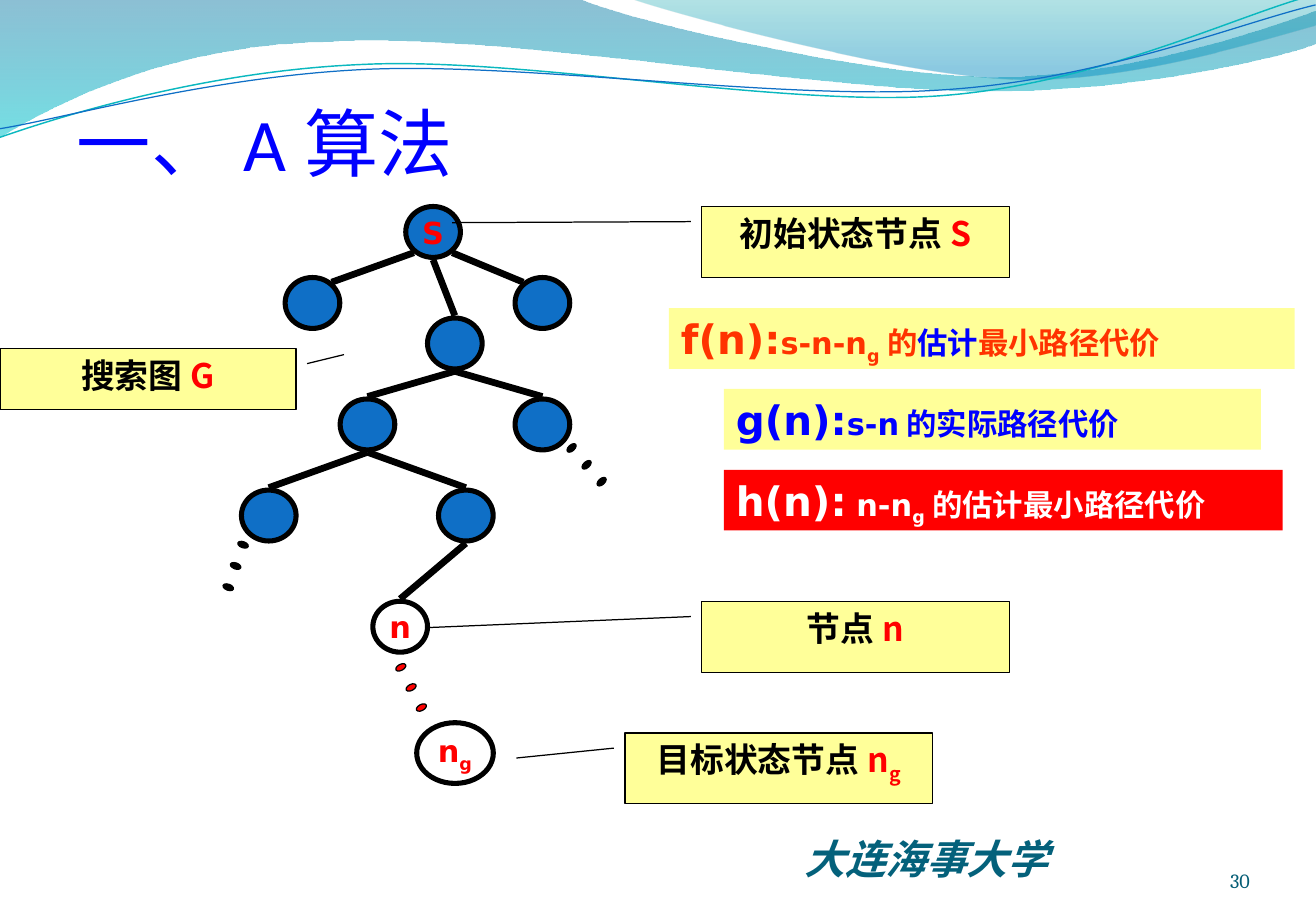
from lxml import etree
from pptx import Presentation
from pptx.dml.color import RGBColor
from pptx.enum.shapes import MSO_CONNECTOR, MSO_SHAPE
from pptx.enum.text import MSO_ANCHOR, PP_ALIGN
from pptx.oxml.ns import qn
from pptx.util import Pt

OVAL, RECT, CALLOUT = MSO_SHAPE.OVAL, MSO_SHAPE.RECTANGLE, MSO_SHAPE.LINE_CALLOUT_1
STRAIGHT = MSO_CONNECTOR.STRAIGHT
TOP, MIDDLE, BOTTOM = MSO_ANCHOR.TOP, MSO_ANCHOR.MIDDLE, MSO_ANCHOR.BOTTOM
LEFT, CENTER, RIGHT = PP_ALIGN.LEFT, PP_ALIGN.CENTER, PP_ALIGN.RIGHT

BLACK = RGBColor(0x00, 0x00, 0x00)
WHITE = RGBColor(0xFF, 0xFF, 0xFF)
RED = RGBColor(0xFF, 0x00, 0x00)
ORANGE = RGBColor(0xFF, 0x33, 0x00)
BLUE = RGBColor(0x00, 0x00, 0xFF)
YELLOW = RGBColor(0xFF, 0xFF, 0x99)
NODE_BLUE = RGBColor(0x0F, 0x6F, 0xC6)
TEAL = RGBColor(0x04, 0x61, 0x7B)
PAGE_TEAL = RGBColor(0x04, 0x5D, 0x75)
WAVE_TEAL = RGBColor(0x0A, 0xB8, 0xBF)
BROAD_STOPS = [(0, RGBColor(0x00, 0x74, 0xA1), 45), (1, RGBColor(0x00, 0xC6, 0xCF), 55)]
CORNER_STOPS = [(0, RGBColor(0x00, 0xA1, 0xA9), 30), (0.8, RGBColor(0x00, 0x8B, 0xBF), 45)]

CJK_FONT = "Noto Sans CJK SC"
LABEL_FONT = "DejaVu Sans"

BROAD_WAVE = [
    [(0, 0)], [(343.4, -0.7)],
    [(370.8, 12.2), (517.7, 45.4), (591.8, 45.4)],
    [(665.3, 45.4), (747.4, 18.7), (779.8, 6.5)], [(780.5, 25.9)],
    [(766.8, 31.7), (678.2, 54.7), (581.8, 54)],
    [(485.3, 54), (298.1, 20.2), (200.9, 24.5)],
    [(100.8, 25.9), (36, 59.8), (-0.7, 81.4)],
]
CORNER_WAVE = [
    [(373.7, -0.7)],
    [(397.4, 7.9), (532.1, 44.6), (599.8, 46.8)],
    [(667.4, 49.7), (750.2, 23), (779.8, 15.1)], [(779.8, 0)],
]
TEAL_WAVE = [
    [(0, 81.4)],
    [(37.4, 68.4), (123.1, 41.8), (216, 38.2)],
    [(308.2, 33.8), (462.2, 63.4), (555.8, 56.9)],
    [(649.4, 50.4), (732.2, 9.4), (778.3, -2.9)],
]
BLUE_WAVE = [
    [(0, 76.3)],
    [(36.7, 70.6), (127.4, 44.6), (221, 41)],
    [(313.9, 37.4), (465.8, 59.8), (558.7, 53.3)],
    [(652.3, 47.5), (734.4, 13.7), (779.8, 2.9)],
]


def write(shape, runs, font=CJK_FONT, size=20, color=BLACK, bold=True, italic=False,
          align=LEFT, anchor=TOP, wrap=True, insets=(7.2, 3.6, 7.2, 3.6)):
    frame = shape.text_frame
    frame.word_wrap = wrap
    frame.vertical_anchor = anchor
    frame.margin_left, frame.margin_top, frame.margin_right, frame.margin_bottom = map(Pt, insets)
    paragraph = frame.paragraphs[0]
    paragraph.alignment = align
    for text, changes in runs:
        run = paragraph.add_run()
        run.text = text
        run.font.name = font
        run.font.size = Pt(changes.get("size", size))
        run.font.bold = changes.get("bold", bold)
        run.font.italic = italic
        run.font.color.rgb = changes.get("color", color)
        properties = run._r.get_or_add_rPr()
        if changes.get("sub"):
            properties.set("baseline", "-25000")
        etree.SubElement(properties, qn("a:ea")).set("typeface", CJK_FONT)


def add_text(slide, box, runs, **style):
    write(slide.shapes.add_textbox(*map(Pt, box)), runs, **style)


def add_block(slide, kind, box, fill=None, line=None, width=0.75):
    block = slide.shapes.add_shape(kind, *map(Pt, box))
    block.shadow.inherit = False
    if fill is None:
        block.fill.background()
    else:
        block.fill.solid()
        block.fill.fore_color.rgb = fill
    if line is None:
        block.line.fill.background()
    else:
        block.line.color.rgb = line
        block.line.width = Pt(width)
    return block


def add_oval(slide, center, size, fill, width):
    (x, y), (w, h) = center, size
    return add_block(slide, OVAL, (x - w / 2, y - h / 2, w, h), fill, BLACK, width)


def add_edge(slide, start, end):
    edge = slide.shapes.add_connector(STRAIGHT, *map(Pt, (*start, *end)))
    edge.line.color.rgb = BLACK
    edge.line.width = Pt(4)
    etree.SubElement(edge.element.spPr, qn("a:effectLst"))


def bend(wave, segments):
    sides = iter(list(wave.element.spPr.iter(qn("a:lnTo"))))
    for segment in segments[1:]:
        first, *others = [next(sides) for _ in segment]
        if others:
            first.addprevious(curve := etree.Element(qn("a:cubicBezTo")))
            for side in (first, *others):
                curve.append(side[0])
                side.getparent().remove(side)


def add_wave(slide, left, top, segments, stops=None, line=None, width=0.75):
    points = [(Pt(left + x), Pt(top + y)) for segment in segments for x, y in segment]
    builder = slide.shapes.build_freeform(*points[0])
    builder.add_line_segments(points[1:], close=stops is not None)
    wave = builder.convert_to_shape()
    bend(wave, segments)
    wave.shadow.inherit = False
    if stops is None:
        wave.fill.background()
        wave.line.color.rgb = line
        wave.line.width = Pt(width)
        return
    wave.line.fill.background()
    wave.fill.gradient()
    wave.fill.gradient_angle = 270
    for stop, (position, color, _) in zip(wave.fill.gradient_stops, stops):
        stop.position = position
        stop.color.rgb = color
    for color, (_, _, opacity) in zip(wave.element.spPr.iter(qn("a:srgbClr")), stops):
        etree.SubElement(color, qn("a:alpha")).set("val", str(opacity * 1000))


def draw_waves(slide, left, top):
    add_wave(slide, left, top, BROAD_WAVE, BROAD_STOPS)
    add_wave(slide, left, top, CORNER_WAVE, CORNER_STOPS)
    add_wave(slide, left, top, TEAL_WAVE, line=WAVE_TEAL, width=0.85)
    add_wave(slide, left, top, BLUE_WAVE, line=NODE_BLUE)


def draw_tree(slide, left, top):
    offsets = {
        "start": (114.7, 15.5), "west": (43.2, 57.6), "east": (179.5, 57.6),
        "middle": (127.6, 81.6), "lower east": (179.5, 129.6), "lower west": (75.8, 129.6),
        "n parent": (134.1, 183.6), "far west": (17.3, 183.6), "n": (95.2, 249.5), "goal": (127.7, 324.4),
    }
    centers = {key: (left + x, top + y) for key, (x, y) in offsets.items()}
    edges = [
        ("start", "west", -11.4, 12.3), ("start", "east", 11.4, 12.3), ("start", "middle", 0, 16.5),
        ("middle", "lower east", 0, 16.5), ("middle", "lower west", 0, 16.5),
        ("lower west", "n parent", 0, 16.5), ("lower west", "far west", 0, 16.5),
        ("n parent", "n", 0, 16.5),
    ]
    for parent, child, dx, dy in edges:
        (x1, y1), (x2, y2) = centers[parent], centers[child]
        add_edge(slide, (x1 + dx, y1 + dy), (x2 - dx, y2 - dy))
    labels = {"start": [("S", {})], "n": [("n", {})], "goal": [("n", {}), ("g", {"sub": True})]}
    for key, center in centers.items():
        size = (45.4, 36) if key == "goal" else (32.4, 30.2)
        node = add_oval(slide, center, size, None if key in ("n", "goal") else NODE_BLUE, 3)
        if key in labels:
            write(node, labels[key], font=LABEL_FONT, size=18, color=RED,
                  align=CENTER, anchor=MIDDLE, wrap=False)
    trails = [
        (196.8, 143.5, 8.9, 10, 228.2, BLACK),
        (2.1, 200.9, -4.4, 12.6, 289.6, BLACK),
        (95.6, 273.6, 6.1, 11.9, 242.3, RED),
    ]
    for x, y, dx, dy, angle, fill in trails:
        for index in range(3):
            dot = add_oval(slide, (left + x + index * dx, top + y + index * dy), (3.6, 6.5), fill, 0.75)
            dot.rotation = angle


def draw_callout(slide, box, pointer, label, symbol, subscript=""):
    callout = add_block(slide, CALLOUT, box, YELLOW, BLACK)
    for index, value in enumerate(pointer):
        callout.adjustments[index] = value
    runs = [(label, {}), (symbol, {"color": RED})]
    if subscript:
        runs.append((subscript, {"color": RED, "sub": True}))
    write(callout, runs, align=CENTER)


def draw_formulas(slide, left, top):
    rows = [
        (0, 370.8, YELLOW, ORANGE, [
            ("f(n):", {"size": 24}), ("s-n-n", {}), ("g", {"sub": True}), ("的", {}),
            ("估计", {"color": BLUE}), ("最小路径代价", {})]),
        (32.6, 318.2, YELLOW, BLUE, [("g(n):", {"size": 24}), ("s-n的实际路径代价", {})]),
        (32.6, 331.2, RED, WHITE, [
            ("h(n):", {"size": 24}), (" ", {"bold": False}), ("n-n", {}),
            ("g", {"sub": True}), ("的估计最小路径代价", {})]),
    ]
    for index, (indent, width, fill, color, runs) in enumerate(rows):
        band = add_block(slide, RECT, (left + indent, top + index * 47.9, width, 36), fill)
        write(band, runs, font=LABEL_FONT, size=18, color=color)


def draw_footer(slide, left, top):
    add_text(slide, (left, top, 245.5, 36.7), [("大连海事大学", {})],
             font="Arial", size=24, color=TEAL, italic=True)
    add_text(slide, (left + 206.2, top + 9.4, 64.8, 28.8), [("30", {})], font="Cambria", size=12,
             color=PAGE_TEAL, bold=False, align=RIGHT, anchor=BOTTOM, insets=(0, 0, 0, 0))


def main():
    deck = Presentation()
    deck.slide_width, deck.slide_height = Pt(780), Pt(540)
    slide = deck.slides.add_slide(deck.slide_layouts[6])
    draw_waves(slide, 0, 0)
    add_text(slide, (45.6, 20.5, 702, 90), [("一、A算法", {})], font="Calibri", size=44,
             color=BLUE, bold=False, anchor=BOTTOM, insets=(0, 3.6, 0, 0))
    draw_tree(slide, 142, 122)
    draw_callout(slide, (370.4, 434.5, 182.2, 42), (0.214, -0.036, 0.354, -0.353), "目标状态节点", "n", "g")
    draw_callout(slide, (416, 122.4, 182.2, 42), (0.214, -0.036, 0.229, -0.812), "初始状态节点", "S")
    draw_callout(slide, (416, 356.5, 182.2, 42), (0.214, -0.036, 0.369, -0.885), "节点", "n")
    draw_callout(slide, (0, 206.6, 175.5, 36), (0.25, 1.037, 0.101, 1.162), "搜索图", "G")
    draw_formulas(slide, 396.5, 182.7)
    draw_footer(slide, 469.8, 491)
    deck.save("out.pptx")


if __name__ == "__main__":
    main()
